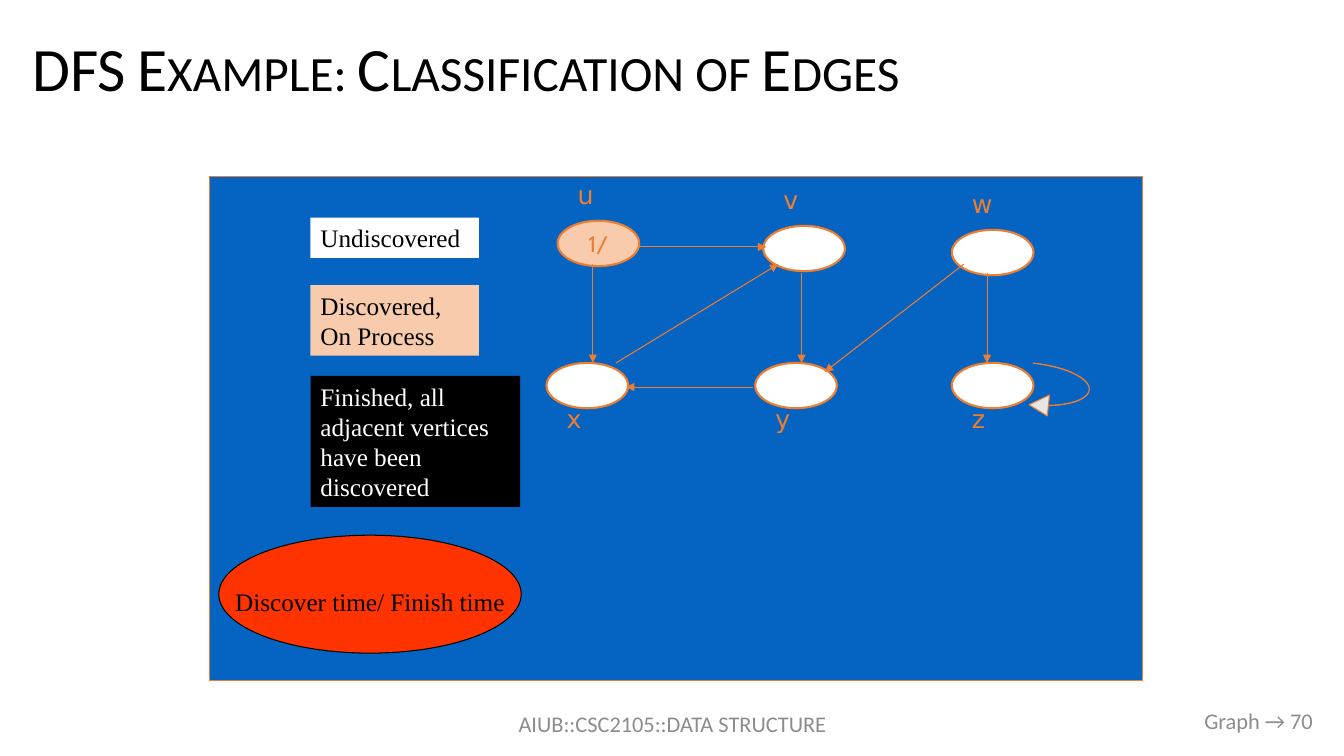
from lxml import etree
from pptx import Presentation
from pptx.dml.color import RGBColor
from pptx.enum.shapes import MSO_CONNECTOR, MSO_SHAPE
from pptx.enum.text import MSO_ANCHOR, MSO_AUTO_SIZE, PP_ALIGN
from pptx.oxml.ns import qn
from pptx.util import Inches, Pt

RECTANGLE, OVAL = MSO_SHAPE.RECTANGLE, MSO_SHAPE.OVAL
CURVED_ARROW = MSO_SHAPE.CURVED_DOWN_ARROW
STRAIGHT = MSO_CONNECTOR.STRAIGHT
LEFT, CENTER, RIGHT = PP_ALIGN.LEFT, PP_ALIGN.CENTER, PP_ALIGN.RIGHT
TOP, MIDDLE = MSO_ANCHOR.TOP, MSO_ANCHOR.MIDDLE

BLACK = RGBColor(0x00, 0x00, 0x00)
WHITE = RGBColor(0xFF, 0xFF, 0xFF)
GRAY = RGBColor(0x8C, 0x8C, 0x8C)
LIGHT_GRAY = RGBColor(0xE7, 0xE6, 0xE6)
BLUE = RGBColor(0x05, 0x63, 0xC1)
ORANGE = RGBColor(0xED, 0x7D, 0x31)
PEACH = RGBColor(0xF8, 0xCB, 0xAD)
RED = RGBColor(0xFF, 0x33, 0x00)

VERTEX_WIDTH, VERTEX_HEIGHT = 0.81, 0.45
LABEL_ABOVE, LABEL_BELOW = -0.46, 0.35

VERTICES = [
    ("x", 5.42, 3.6, LABEL_BELOW, WHITE, ""),
    ("z", 9.44, 3.6, LABEL_BELOW, WHITE, ""),
    ("y", 7.49, 3.6, LABEL_BELOW, WHITE, ""),
    ("w", 9.44, 2.28, LABEL_ABOVE, WHITE, ""),
    ("v", 7.57, 2.24, LABEL_ABOVE, WHITE, ""),
    ("u", 5.53, 2.19, LABEL_ABOVE, PEACH, "1/"),
]
EDGES = [
    (6.34, 2.45, 7.6, 2.45),
    (7.47, 3.84, 6.21, 3.84),
    (7.95, 2.71, 7.95, 3.6),
    (5.88, 2.62, 5.88, 3.6),
    (9.79, 2.71, 9.79, 3.6),
    (9.56, 2.62, 8.18, 3.69),
    (6.11, 3.6, 7.72, 2.62),
]
LEGEND = [
    ("Undiscovered", 2.16, 1.67, 0.4, WHITE, BLACK),
    ("Discovered, On Process", 2.83, 1.67, 0.7, PEACH, BLACK),
    ("Finished, all adjacent vertices have been discovered",
     3.73, 2.08, 1.3, BLACK, WHITE),
]


def write(holder, text, font, size, color, align=LEFT, anchor=TOP, wrap=True):
    frame = holder.text_frame
    frame.word_wrap = wrap
    frame.auto_size = MSO_AUTO_SIZE.NONE
    frame.vertical_anchor = anchor
    paragraph = frame.paragraphs[0]
    paragraph.text = text
    paragraph.alignment = align
    paragraph.font.name = font
    paragraph.font.size = Pt(size)
    paragraph.font.color.rgb = color
    return frame


def add_text(slide, box, *style, **options):
    holder = slide.shapes.add_textbox(*map(Inches, box))
    return write(holder, *style, **options)


def add_figure(slide, preset, box, fill, outline=None, width=0.75):
    figure = slide.shapes.add_shape(preset, *map(Inches, box))
    figure.shadow.inherit = False
    figure.fill.solid()
    figure.fill.fore_color.rgb = fill
    if outline is None:
        figure.line.fill.background()
    else:
        figure.line.color.rgb = outline
        figure.line.width = Pt(width)
    return figure


def add_title(slide, text):
    title = slide.shapes.title
    title.left, title.top = Inches(0.22), Inches(0.24)
    title.width, title.height = Inches(12.9), Inches(0.93)
    frame = write(title, text, "Calibri", 44, BLACK, anchor=MIDDLE)
    paragraph = frame.paragraphs[0]
    paragraph.line_spacing = 0.9
    paragraph.runs[0]._r.get_or_add_rPr().set("cap", "small")


def add_vertex(slide, name, left, top, label_offset, fill, times):
    box = (left, top, VERTEX_WIDTH, VERTEX_HEIGHT)
    vertex = add_figure(slide, OVAL, box, fill, ORANGE, 1.5)
    if times:
        write(vertex, times, "Cabin", 16, ORANGE, CENTER, MIDDLE, wrap=False)
    label_box = (left + 0.02, top + label_offset, VERTEX_WIDTH, 0.4)
    label = add_text(slide, label_box, name, "DejaVu Sans", 18, ORANGE)
    label.margin_left = Inches(0.18)


def add_edge(slide, ends):
    edge = slide.shapes.add_connector(STRAIGHT, *map(Inches, ends))
    edge.line.color.rgb = ORANGE
    edge.line.width = Pt(0.75)
    etree.SubElement(edge.line._get_or_add_ln(), qn("a:tailEnd"), type="triangle")
    etree.SubElement(edge._element.spPr, qn("a:effectLst"))


def add_self_loop(slide):
    loop = add_figure(slide, CURVED_ARROW, (10.25, 3.6, 0.52, 0.58),
                      LIGHT_GRAY, ORANGE)
    for index, value in enumerate((0.006, 0.402, 0.369)):
        loop.adjustments[index] = value
    loop.rotation = 95.8


def add_legend(slide):
    for text, top, width, height, fill, color in LEGEND:
        entry = add_figure(slide, RECTANGLE, (3.08, top, width, height), fill)
        write(entry, text, "Times New Roman", 18, color)
    times_key = add_figure(slide, OVAL, (2.17, 5.31, 3, 1.17), RED, BLACK)
    frame = write(times_key, "Discover time/ Finish time", "Times New Roman",
                  18, BLACK, CENTER, MIDDLE, wrap=False)
    frame.margin_top = Inches(0.19)


def main():
    deck = Presentation()
    deck.slide_width, deck.slide_height = Inches(13.33), Inches(7.5)
    slide = deck.slides.add_slide(deck.slide_layouts[5])

    add_title(slide, "DFS Example: Classification of Edges")
    add_text(slide, (4.42, 6.98, 4.5, 0.4), "AIUB::CSC2105::DATA STRUCTURE",
             "Calibri", 16, GRAY, CENTER, MIDDLE)
    add_text(slide, (10.12, 6.95, 3, 0.4), "Graph → 70",
             "Calibri", 16, GRAY, RIGHT, MIDDLE)
    add_figure(slide, RECTANGLE, (2.08, 1.75, 9.25, 5), BLUE, ORANGE)
    add_self_loop(slide)
    for vertex in VERTICES:
        add_vertex(slide, *vertex)
    for ends in EDGES:
        add_edge(slide, ends)
    add_legend(slide)

    deck.save("out.pptx")


if __name__ == "__main__":
    main()
